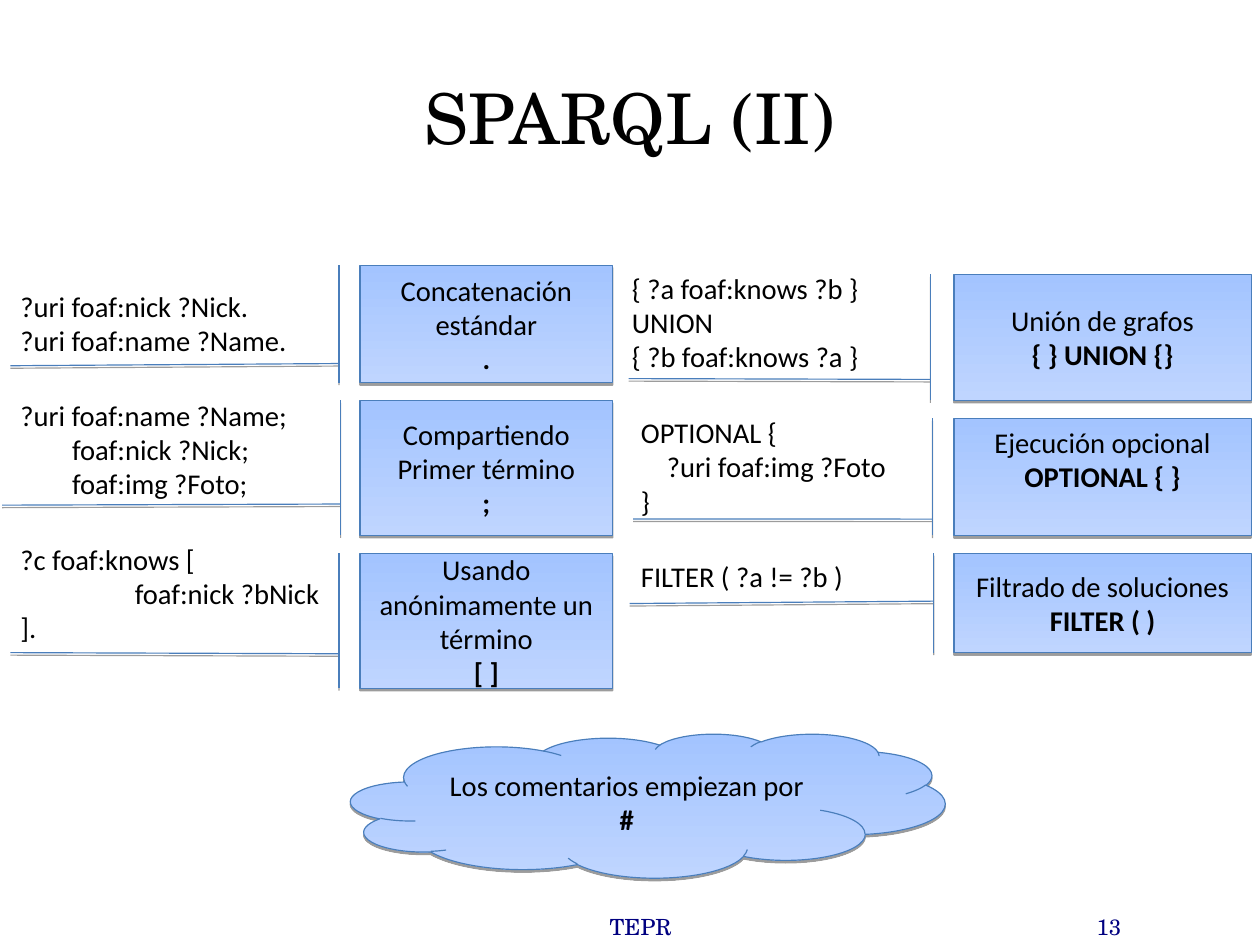
from dataclasses import dataclass

from lxml.etree import SubElement
from pptx import Presentation
from pptx.dml.color import RGBColor
from pptx.enum.shapes import MSO_SHAPE as Shape
from pptx.enum.text import MSO_ANCHOR as Anchor, PP_ALIGN as Align
from pptx.oxml.ns import qn
from pptx.util import Pt


@dataclass(frozen=True)
class Theme:
    black: RGBColor = RGBColor.from_string("000000")
    navy: RGBColor = RGBColor.from_string("000080")
    outline: RGBColor = RGBColor.from_string("4A7EBB")
    gradient: tuple = ("A3C4FF", "BFD5FF")
    serif: str = "TeX Gyre Schola"
    sans: str = "Calibri"
    title: int = 44
    body: int = 18
    footer: int = 14


THEME = Theme()
BODY = {"name": THEME.sans, "size": Pt(THEME.body)}
TITLE = {"name": THEME.serif, "size": Pt(THEME.title)}
FOOTER = {"name": THEME.serif, "size": Pt(THEME.footer)}
NO_MARGINS = {f"margin_{side}": 0 for side in ("left", "top", "right", "bottom")}


@dataclass(frozen=True)
class Pattern:
    """A query fragment, the callout box explaining it, and the rule between."""
    code: list          # (line, indent) pairs
    code_box: tuple     # left, top, width, height
    meaning: list
    symbol: str
    box: tuple          # left, top, width, height
    bar: float          # x of the vertical bar
    rule: tuple         # start y, end x, end y
    bottom_margin: float = 3.6


LEFT_BOX = (226.8, 159.2)     # left, width
RIGHT_BOX = (601, 187.2)


def box_in(column, top, height):
    left, width = column
    return left, top, width, height


PATTERNS = [
    Pattern([("?uri foaf:nick ?Nick.", 0), ("?uri foaf:name ?Name.", 0)],
            (5.8, 178.5, 226.8, 72), ["Concatenación estándar"], ".",
            box_in(LEFT_BOX, 167, 74), 213.6, (229, 6.5, 230.4)),
    Pattern([("?uri foaf:name ?Name;", 0), ("foaf:nick ?Nick;", 32.5),
             ("foaf:img ?Foto;", 32.5)],
            (5.8, 247, 187.2, 93.6), ["Compartiendo", "Primer término"], ";",
            box_in(LEFT_BOX, 252.2, 85), 214.6, (317.5, 1.4, 318.2)),
    Pattern([("?c foaf:knows [", 0), ("foaf:nick ?bNick", 72), ("].", 0)],
            (5.8, 337.6, 209.5, 93.6), ["Usando anónimamente un término"], "[ ]",
            box_in(LEFT_BOX, 348.5, 85), 213.6, (411.8, 6.5, 411.1)),
    Pattern([("{ ?a foaf:knows ?b }", 0), ("UNION", 0),
             ("{ ?b foaf:knows ?a }", 0)],
            (391, 167, 204.5, 93.6), ["Unión de grafos"], "{ } UNION {}",
            box_in(RIGHT_BOX, 172.8, 79.4), 586.1, (239, 396, 238.5)),
    Pattern([("OPTIONAL {", 0), ("?uri foaf:img ?Foto", 16.3), ("}", 0)],
            (396.7, 257.8, 175.7, 93.6), ["Ejecución opcional"], "OPTIONAL { }",
            box_in(RIGHT_BOX, 263.5, 73.8), 587.5, (327, 398.9, 326.9),
            bottom_margin=25.6),
    Pattern([("FILTER ( ?a != ?b )", 0)],
            (396.7, 348.5, 181.4, 50.4), ["Filtrado de soluciones"], "FILTER ( )",
            box_in(RIGHT_BOX, 348.5, 62.6), 588.2, (378.7, 396.7, 380.2)),
]


def apply(target, values):
    for name, value in values.items():
        setattr(target, name, value)


def points(box):
    return [Pt(length) for length in box]


def add_run(paragraph, text, font, color=THEME.black, bold=False):
    run = paragraph.add_run()
    run.text = text
    apply(run.font, {**font, "bold": bold})
    run.font.color.rgb = color


def next_paragraph(frame, index):
    return frame.add_paragraph() if index else frame.paragraphs[0]


def add_panel(slide, kind, box, bottom_margin=3.6):
    """Shape with the blue gradient, thin outline and short hard shadow."""
    panel = slide.shapes.add_shape(kind, *points(box))
    panel.shadow.inherit = False
    panel.fill.gradient()
    panel.fill.gradient_angle = 270
    for stop, color in zip(panel.fill.gradient_stops, THEME.gradient):
        stop.color.rgb = RGBColor.from_string(color)
    panel.line.color.rgb = THEME.outline
    panel.line.width = Pt(0.75)
    effects = panel.element.spPr.find(qn("a:effectLst"))
    shadow = SubElement(effects, qn("a:outerShdw"), blurRad="0",
                        dist=str(Pt(1.6)), dir="5400000", rotWithShape="0")
    black = SubElement(shadow, qn("a:srgbClr"), val=str(THEME.black))
    SubElement(black, qn("a:alpha"), val="38000")
    apply(panel.text_frame, {"word_wrap": True, "vertical_anchor": Anchor.MIDDLE,
                             "margin_bottom": Pt(bottom_margin)})
    return panel


def add_code(slide, box, lines):
    frame = slide.shapes.add_textbox(*points(box)).text_frame
    frame.word_wrap = True
    for index, (line, indent) in enumerate(lines):
        paragraph = next_paragraph(frame, index)
        if indent:
            paragraph._p.get_or_add_pPr().set("marL", str(Pt(indent)))
        add_run(paragraph, line, BODY)


def add_pattern(slide, pattern):
    add_code(slide, pattern.code_box, pattern.code)
    callout = add_panel(slide, Shape.LINE_CALLOUT_1_BORDER_AND_ACCENT_BAR,
                        pattern.box, pattern.bottom_margin)
    left, top, width, height = pattern.box
    start_y, end_x, end_y = pattern.rule
    ratios = ((start_y - top) / height, (pattern.bar - left) / width,
              (end_y - top) / height, (end_x - left) / width)
    for index, ratio in enumerate(ratios):
        callout.adjustments[index] = ratio
    for index, line in enumerate([*pattern.meaning, pattern.symbol]):
        paragraph = next_paragraph(callout.text_frame, index)
        paragraph.alignment = Align.CENTER
        add_run(paragraph, line, BODY, bold=index == len(pattern.meaning))


def add_comment_cloud(slide, box):
    cloud = add_panel(slide, Shape.CLOUD, box)
    note = cloud.text_frame.paragraphs[0]
    note.alignment = Align.CENTER
    add_run(note, "Los comentarios empiezan por ", BODY)
    add_run(note, "#", BODY, bold=True)


def add_title(slide, box, text):
    title = slide.shapes.title
    apply(title, dict(zip(("left", "top", "width", "height"), points(box))))
    apply(title.text_frame, {**NO_MARGINS, "vertical_anchor": Anchor.MIDDLE})
    heading = title.text_frame.paragraphs[0]
    heading.alignment = Align.CENTER
    add_run(heading, text, TITLE)


def add_footer(slide, box, text, alignment):
    frame = slide.shapes.add_textbox(*points(box)).text_frame
    apply(frame, {**NO_MARGINS, "word_wrap": True})
    frame.paragraphs[0].alignment = alignment
    add_run(frame.paragraphs[0], text, FOOTER, THEME.navy)


def main():
    deck = Presentation()
    deck.slide_width, deck.slide_height = Pt(793.75), Pt(595.25)
    slide = deck.slides.add_slide(deck.slide_layouts[5])
    add_title(slide, (39.6, 23.8, 714.2, 99.4), "SPARQL (II)")
    for pattern in PATTERNS:
        add_pattern(slide, pattern)
    add_comment_cloud(slide, (221, 462.2, 374.4, 90.7))
    add_footer(slide, (212.4, 575.3, 382.3, 19.4), "TEPR", Align.CENTER)
    add_footer(slide, (607, 575.3, 99.4, 19.4), "13", Align.RIGHT)
    deck.save("out.pptx")


if __name__ == "__main__":
    main()
